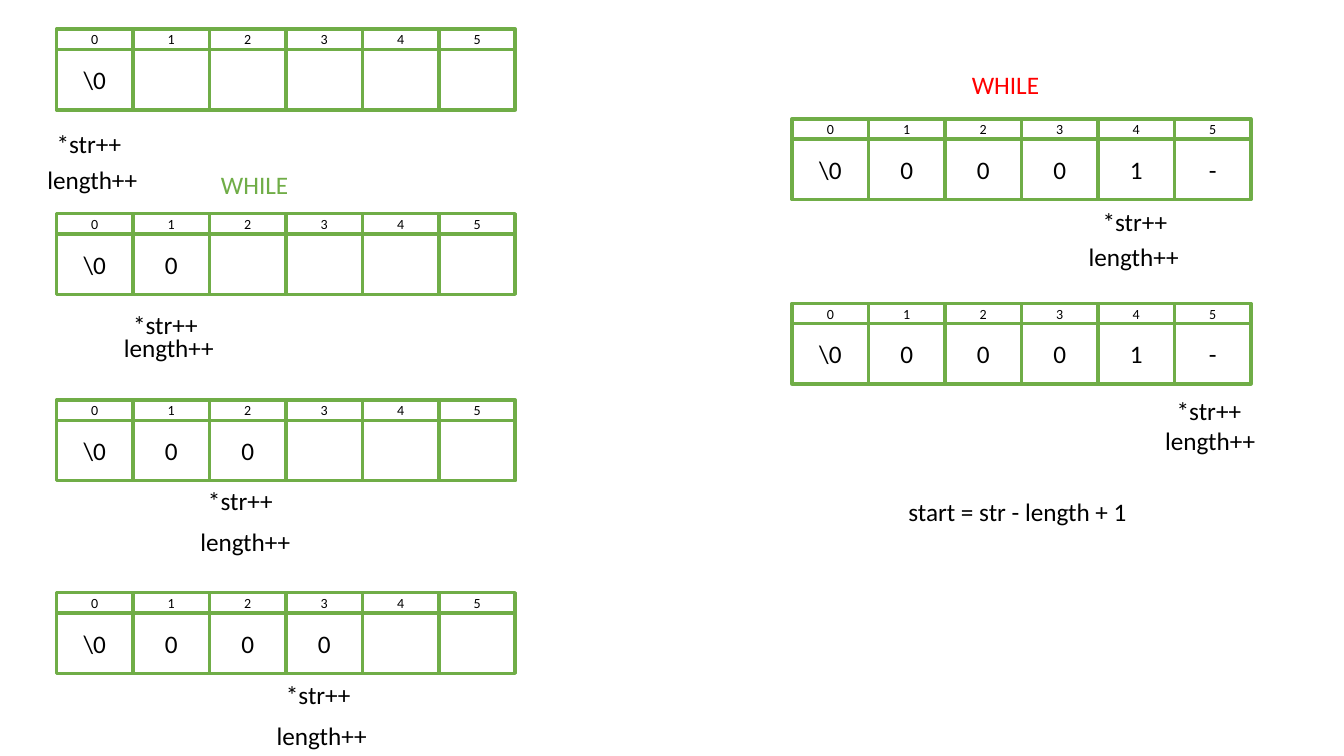
"""Build a slide that walks a string pointer through an array of cells."""
from dataclasses import dataclass

from pptx import Presentation
from pptx.dml.color import RGBColor
from pptx.enum.shapes import MSO_SHAPE
from pptx.enum.text import MSO_ANCHOR, MSO_AUTO_SIZE, PP_ALIGN
from pptx.util import Inches, Pt

RECT = MSO_SHAPE.RECTANGLE
MIDDLE = MSO_ANCHOR.MIDDLE
CENTER = PP_ALIGN.CENTER
GROW = MSO_AUTO_SIZE.SHAPE_TO_FIT_TEXT

COLS = 6
COL = 4.55 / COLS
ROW = 0.2
LEFT, RIGHT = 0.74, 10.36
GREEN, RED, BLACK, WHITE = "70AD47", "FF0000", "000000", "FFFFFF"


@dataclass
class Board:
    """An array with its cursor; lengths in grid columns and rows."""
    left: float
    top: float
    cells: list[str]
    cursor: int
    star: float
    count: float
    shift: float = -0.13


@dataclass
class Label:
    """A free line of text; lengths in grid columns and rows."""
    text: str
    left: float
    top: float
    width: float
    color: str = BLACK


BOARDS = [
    Board(LEFT, 1.45, ["\\0"], 0, 6.1, 7.9),
    Board(LEFT, 10.6, ["\\0", "0"], 1, 15.1, 16.25),
    Board(LEFT, 19.85, ["\\0", "0", "0"], 2, 23.85, 25.85, -0.15),
    Board(LEFT, 29.4, ["\\0", "0", "0", "0"], 3, 33.45, 35.5),
    Board(RIGHT, 5.9, ["\\0", "0", "0", "0", "1", "-"], 4, 10, 11.7, -0.07),
    Board(RIGHT, 15.05, ["\\0", "0", "0", "0", "1", "-"], 5, 19.35, 20.85, -0.1),
]
LABELS = [
    Label("start = str - length + 1", 11.75, 24.35, 3.35),
    Label("WHILE", 2.76, 8.15, 1.31, GREEN),
    Label("WHILE", 12.58, 3.2, 1.31, RED),
]


def paint(code: str) -> RGBColor:
    """Turn a hex string into a colour."""
    return RGBColor.from_string(code)


def place(left: float, top: float, width: float, height: float) -> tuple:
    """Turn grid columns and rows into slide lengths."""
    return (Inches(left * COL), Inches(top * ROW),
            Inches(width * COL), Inches(height * ROW))


def write(shape, text: str, size: int, color: str):
    """Set one line of text and return its paragraph."""
    shape.text_frame.word_wrap = True
    line = shape.text_frame.paragraphs[0]
    line.text = text
    line.font.name = "Calibri"
    line.font.size = Pt(size)
    line.font.color.rgb = paint(color)
    return line


def draw_cell(slide, left: float, top: float, height: int,
              text: str, size: int, solid: bool) -> None:
    """Draw one outlined cell."""
    cell = slide.shapes.add_shape(RECT, *place(left, top, 1, height))
    cell.shadow.inherit = False
    if solid:
        cell.fill.solid()
        cell.fill.fore_color.rgb = paint(WHITE)
    else:
        cell.fill.background()
    cell.line.color.rgb = paint(GREEN)
    cell.line.width = Pt(2.5)
    cell.text_frame.vertical_anchor = MIDDLE
    if text:
        write(cell, text, size, BLACK).alignment = CENTER


def draw_label(slide, label: Label) -> None:
    """Draw one free line of text."""
    box = slide.shapes.add_textbox(
        *place(label.left, label.top, label.width, 2))
    write(box, label.text, 18, label.color)
    box.text_frame.auto_size = GROW


def draw_board(slide, board: Board) -> None:
    """Draw the values, the indexes and the cursor of an array."""
    for col in range(COLS):
        text = board.cells[col] if col < len(board.cells) else ""
        draw_cell(slide, board.left + col, board.top + 1, 3, text, 18, col > 3)
    for col in range(COLS):
        draw_cell(slide, board.left + col, board.top, 1, str(col), 10, col > 4)
    spot = board.left + board.cursor
    draw_label(slide, Label("*str++", spot + board.shift, board.star, 1.15))
    draw_label(slide, Label("length++", spot - 0.25, board.count, 1.52))


def main() -> None:
    """Build and save the slide."""
    deck = Presentation()
    deck.slide_width, deck.slide_height = Inches(13.33), Inches(7.5)
    slide = deck.slides.add_slide(deck.slide_layouts[6])
    for board in BOARDS:
        draw_board(slide, board)
    for label in LABELS:
        draw_label(slide, label)
    deck.save("out.pptx")


if __name__ == "__main__":
    main()
